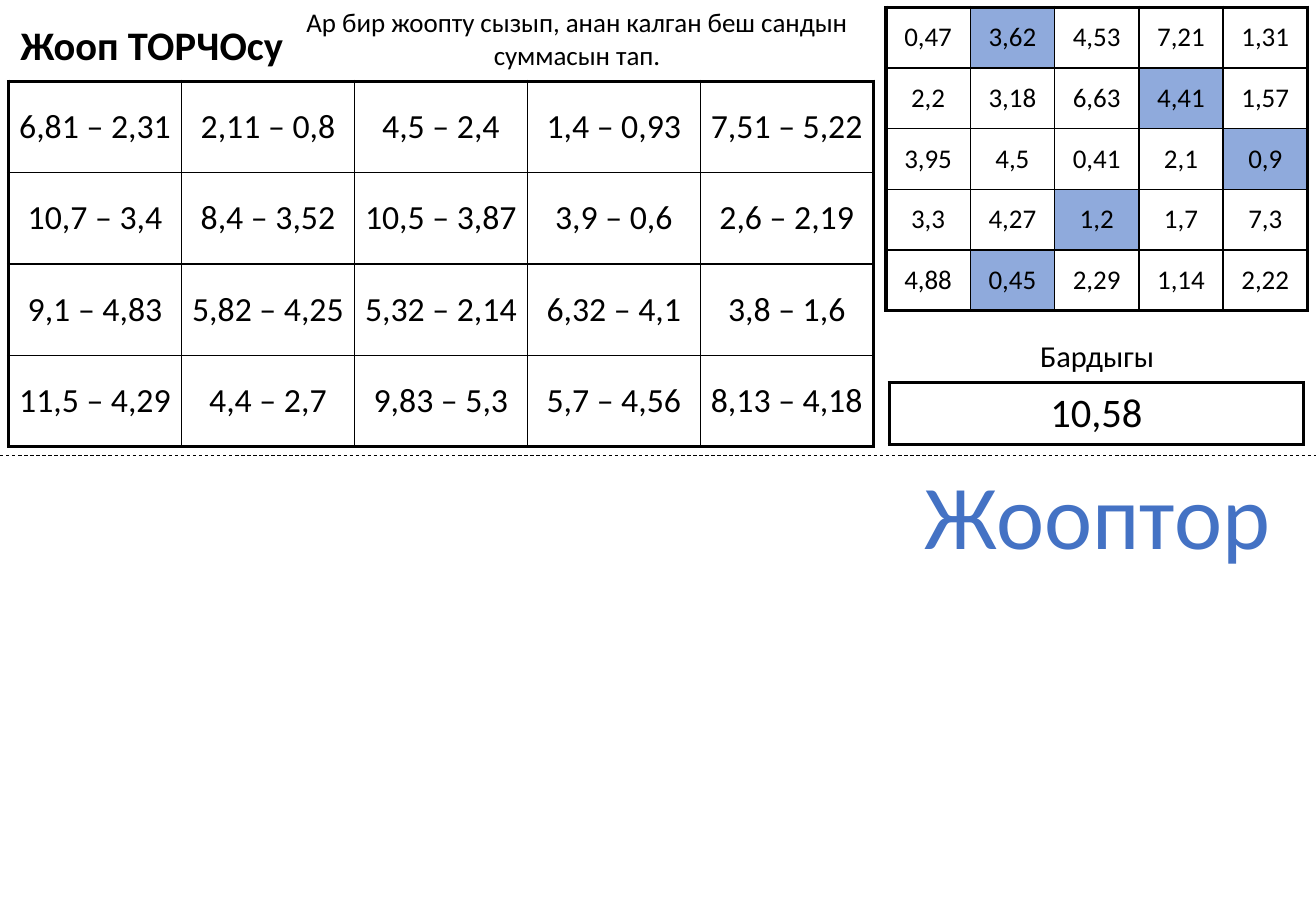
from dataclasses import dataclass

from lxml.etree import SubElement
from pptx import Presentation
from pptx.dml.color import RGBColor
from pptx.enum.dml import MSO_LINE
from pptx.enum.shapes import MSO_CONNECTOR
from pptx.enum.text import MSO_ANCHOR as Anchor, MSO_AUTO_SIZE as AutoSize, PP_ALIGN as Align
from pptx.oxml import parse_xml
from pptx.oxml.ns import nsdecls, qn
from pptx.slide import Slide
from pptx.table import _Cell as Cell
from pptx.text.text import TextFrame
from pptx.util import Cm, Pt

COLORS = {"ink": "000000", "paper": "FFFFFF", "leftover": "8FAADC", "heading": "4472C4"}
FONT = "Calibri"
OUTER_PT, INNER_PT = 2.25, 1
SLIDE_WIDTH, SLIDE_HEIGHT = 27.51, 19.05
CUT_Y = 9.52


@dataclass(frozen=True)
class Grid:
    left: float
    top: float
    width: float
    height: float
    size: float
    rows: list[list[str]]
    side_margin: float = 0.25
    leftovers: frozenset[str] = frozenset()


@dataclass(frozen=True)
class Label:
    text: str
    left: float
    top: float
    width: float
    height: float
    size: float
    color: str = "ink"
    bold: bool = False
    align: Align = Align.CENTER
    wrap: bool = True


GRIDS = [
    Grid(18.52, 0.15, 8.81, 6.35, 16, [
        ["0,47", "3,62", "4,53", "7,21", "1,31"],
        ["2,2", "3,18", "6,63", "4,41", "1,57"],
        ["3,95", "4,5", "0,41", "2,1", "0,9"],
        ["3,3", "4,27", "1,2", "1,7", "7,3"],
        ["4,88", "0,45", "2,29", "1,14", "2,22"],
    ], leftovers=frozenset({"3,62", "4,41", "0,9", "1,2", "0,45"})),
    Grid(0.18, 1.7, 18.08, 7.64, 20, [
        ["6,81 – 2,31", "2,11 – 0,8", "4,5 – 2,4", "1,4 – 0,93", "7,51 – 5,22"],
        ["10,7 – 3,4", "8,4 – 3,52", "10,5 – 3,87", "3,9 – 0,6", "2,6 – 2,19"],
        ["9,1 – 4,83", "5,82 – 4,25", "5,32 – 2,14", "6,32 – 4,1", "3,8 – 1,6"],
        ["11,5 – 4,29", "4,4 – 2,7", "9,83 – 5,3", "5,7 – 4,56", "8,13 – 4,18"],
    ], side_margin=0.13),
    Grid(18.59, 8, 8.66, 1.27, 24, [["10,58"]]),
]

LABELS = [
    Label("Бардыгы", 18.72, 6.93, 8.43, 1.02, 18),
    Label("Ар бир жоопту сызып, анан калган беш сандын суммасын тап.",
          5.64, 0, 12.85, 1.63, 16),
    Label("Жооптор", 18.64, 9.47, 8.61, 2.57, 54, color="heading", wrap=False),
    Label("Жооп ТОРЧОсу", 0.18, 0.3, 13.77, 1.27, 24, bold=True, align=Align.LEFT),
]


def rgb(name: str) -> RGBColor:
    return RGBColor.from_string(COLORS[name])


def write(frame: TextFrame, text: str, *, size: float, color: str = "ink",
          bold: bool = False, align: Align = Align.CENTER) -> None:
    paragraph = frame.paragraphs[0]
    paragraph.alignment = align
    run = paragraph.add_run()
    run.text = text
    run.font.name = FONT
    run.font.size = Pt(size)
    run.font.bold = bold
    run.font.color.rgb = rgb(color)


def set_borders(cell: Cell, outer_sides: dict[str, bool]) -> None:
    properties = cell._tc.get_or_add_tcPr()
    for position, (side, is_outer) in enumerate(outer_sides.items()):
        width = Pt(OUTER_PT if is_outer else INNER_PT)
        border = parse_xml(
            f'<a:ln{side} {nsdecls("a")} w="{width}"><a:solidFill>'
            f'<a:srgbClr val="{COLORS["ink"]}"/></a:solidFill></a:ln{side}>')
        properties.insert(position, border)


def draw_grid(slide: Slide, grid: Grid) -> None:
    row_count, column_count = len(grid.rows), len(grid.rows[0])
    table = slide.shapes.add_table(
        row_count, column_count, Cm(grid.left), Cm(grid.top),
        Cm(grid.width), Cm(grid.height)).table
    table.first_row = table.horz_banding = False
    for r, values in enumerate(grid.rows):
        for c, value in enumerate(values):
            cell = table.cell(r, c)
            cell.vertical_anchor = Anchor.MIDDLE
            cell.margin_left = cell.margin_right = Cm(grid.side_margin)
            cell.fill.solid()
            cell.fill.fore_color.rgb = rgb("leftover" if value in grid.leftovers else "paper")
            set_borders(cell, {"L": c == 0, "R": c == column_count - 1,
                               "T": r == 0, "B": r == row_count - 1})
            write(cell.text_frame, value, size=grid.size)


def draw_label(slide: Slide, label: Label) -> None:
    frame = slide.shapes.add_textbox(
        Cm(label.left), Cm(label.top), Cm(label.width), Cm(label.height)).text_frame
    frame.word_wrap = label.wrap
    frame.auto_size = AutoSize.SHAPE_TO_FIT_TEXT
    write(frame, label.text, size=label.size, color=label.color,
          bold=label.bold, align=label.align)


def draw_cut_line(slide: Slide) -> None:
    cut = slide.shapes.add_connector(
        MSO_CONNECTOR.STRAIGHT, Cm(0), Cm(CUT_Y), Cm(SLIDE_WIDTH), Cm(CUT_Y))
    cut.line.color.rgb = rgb("ink")
    cut.line.width = Pt(0.5)
    cut.line.dash_style = MSO_LINE.DASH
    SubElement(cut._element.spPr, qn("a:effectLst"))


def main() -> None:
    deck = Presentation()
    deck.slide_width, deck.slide_height = Cm(SLIDE_WIDTH), Cm(SLIDE_HEIGHT)
    slide = deck.slides.add_slide(deck.slide_layouts[6])
    for grid in GRIDS:
        draw_grid(slide, grid)
    draw_cut_line(slide)
    for label in LABELS:
        draw_label(slide, label)
    deck.save("out.pptx")


if __name__ == "__main__":
    main()
